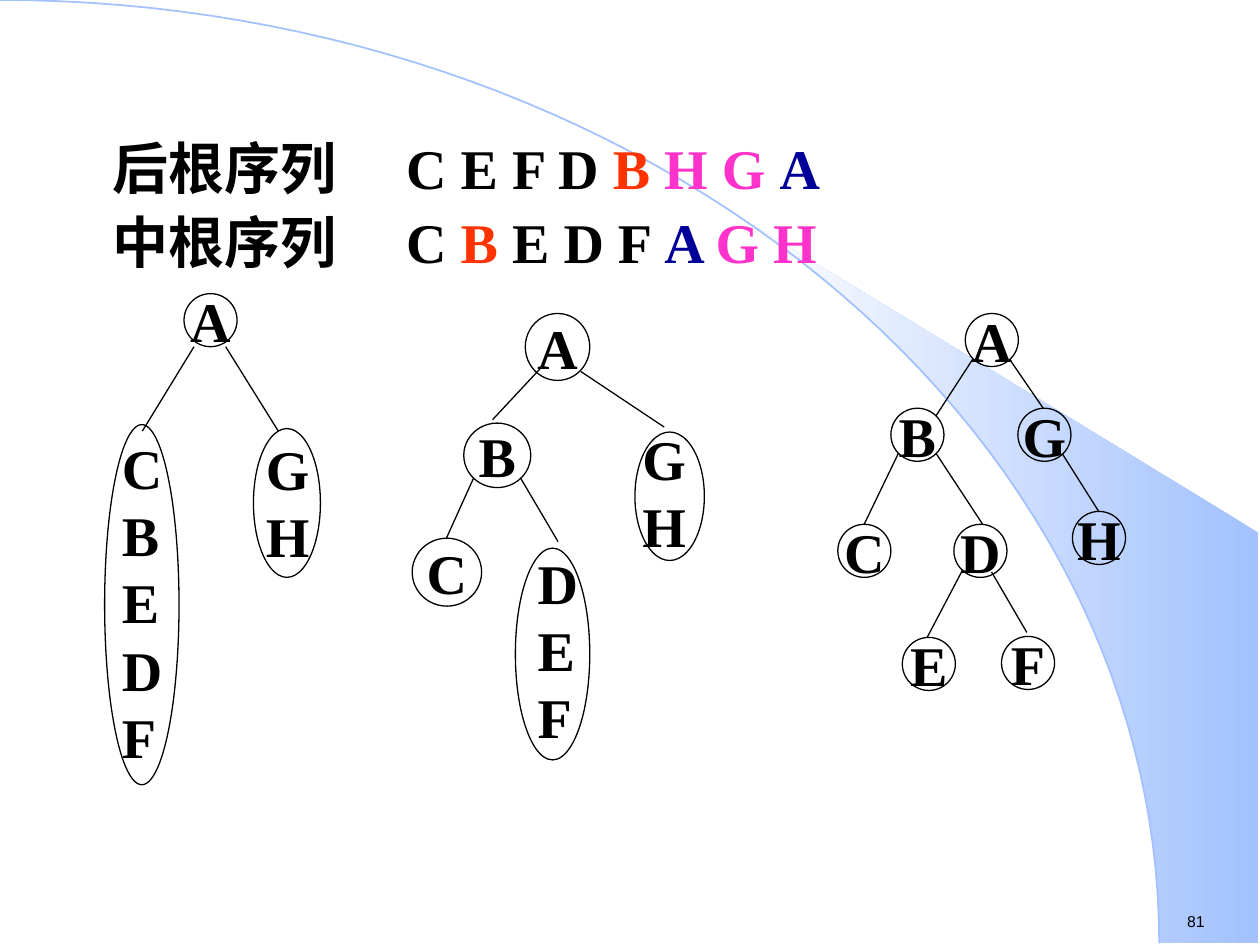
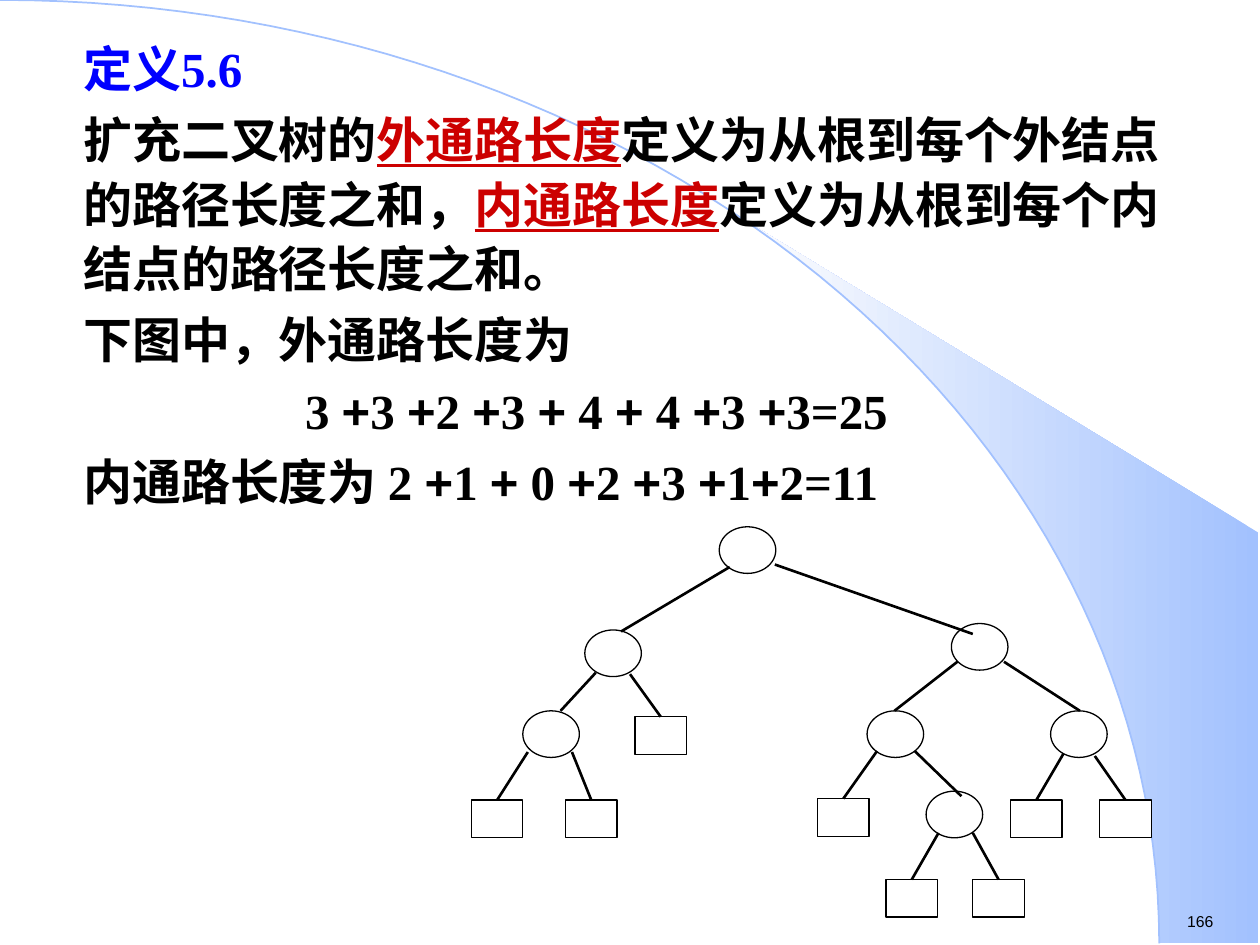
from math import asin, cos, pi, sin

from lxml.etree import SubElement
from pptx import Presentation
from pptx.dml.color import RGBColor
from pptx.enum.shapes import MSO_CONNECTOR, MSO_SHAPE
from pptx.enum.text import MSO_ANCHOR, PP_ALIGN
from pptx.oxml.ns import qn
from pptx.util import Cm, Pt

COLORS = {
    "ink": "000000", "paper": "FFFFFF", "band": "A2C1FE", "band_fade": "FEFEFE",
    "left_root": "FF3300", "right_part": "FF33CC", "root": "000099",
    "heading": "0000FF", "term": "CC0000",
}
SERIF, SANS = "Times New Roman", "Arial"
WIDTH, HEIGHT = 25.4, 19.05
ARC_X, ARC_Y, FAN_TIP = 23.37, 19.02, 14.96

# A paragraph is a list of (text, colour) runs.
SEQUENCES = [
    [("后根序列\tC E F D ", "ink"), ("B ", "left_root"), ("H G ", "right_part"), ("A", "root")],
    [("中根序列\tC ", "ink"), ("B", "left_root"), (" E D F ", "ink"), ("A ", "root"),
     ("G H", "right_part")],
]

# Nodes: letter, left, top, width, height
# Groups: letters, oval (left, top, width, height), letters' left and top
# Edges: from x, from y, to x, to y
D = 1.07
STAGES = [
    {
        "nodes": [("A", 3.71, 5.92, D, D)],
        "groups": [("CBEDF", (2.11, 8.56, 1.5, 7.26), (2.46, 8.74)),
                   ("GH", (5.11, 8.64, 1.35, 3.0), (5.36, 8.76))],
        "edges": [(3.91, 6.99, 2.87, 8.69), (4.55, 6.99, 5.61, 8.69)],
    },
    {
        "nodes": [("A", 10.59, 6.32, 1.3, 1.35), ("B", 9.35, 8.53, 1.35, 1.3),
                  ("C", 8.31, 10.85, 1.4, 1.37)],
        "groups": [("DEF", (10.39, 11.05, 1.5, 4.27), (10.84, 11.05)),
                   ("GH", (12.8, 8.71, 1.4, 2.59), (12.95, 8.56))],
        "edges": [(10.9, 7.42, 9.93, 8.46), (11.71, 7.49, 13.39, 8.61),
                  (9.55, 9.63, 8.99, 10.87), (10.49, 9.63, 11.25, 10.92)],
    },
    {
        "nodes": [("A", 19.46, 6.32, D, D), ("B", 17.96, 8.23, D, D),
                  ("C", 16.89, 10.57, D, D), ("G", 20.52, 8.23, D, D),
                  ("D", 19.23, 10.57, D, D), ("E", 18.19, 12.85, D, D),
                  ("F", 20.19, 12.83, D, D), ("H", 21.62, 10.31, D, D)],
        "groups": [],
        "edges": [(19.61, 7.24, 18.87, 8.38), (20.35, 7.24, 21.03, 8.23),
                  (18.11, 9.14, 17.42, 10.57), (18.87, 9.14, 19.81, 10.57),
                  (19.41, 11.48, 18.69, 12.85), (21.41, 9.14, 22.15, 10.31),
                  (19.99, 11.53, 20.7, 12.75)],
    },
]

DEFINITION = [
    [("定义5.6", "heading")],
    [("扩充二叉树的", "ink"), ("外通路长度", "term"),
     ("定义为从根到每个外结点的路径长度之和，", "ink"), ("内通路长度", "term"),
     ("定义为从根到每个内结点的路径长度之和。", "ink")],
    [("下图中，外通路长度为", "ink")],
    [("3 +3 +2 +3 + 4 + 4 +3 +3=25", "ink")],
    [("内通路长度为 2 +1 + 0 +2 +3 +1+2=11", "ink")],
]
EXTERNAL_SUM = 3  # the paragraph that is set further in

INNER_SIZE, OUTER_SIZE = (1.14, 0.94), (1.04, 0.76)
INNER_NODES = [(14.5, 10.62), (11.79, 12.7), (10.54, 14.33), (19.18, 12.57),
               (17.48, 14.33), (21.18, 14.33), (18.67, 15.95)]
INNER_EDGES = [(15.62, 11.38, 19.61, 12.78), (14.71, 11.43, 12.52, 12.73),
               (12.01, 13.56, 11.3, 14.33), (19.3, 13.34, 18.03, 14.33),
               (20.24, 13.34, 21.77, 14.33), (18.44, 15.14, 19.38, 16.05)]
# Left and top of each outer node, then where its edge leaves the parent
OUTER_NODES = [(9.5, 16.13, 10.64, 15.16), (11.4, 16.13, 11.53, 15.16),
               (12.8, 14.45, 12.7, 13.59), (16.48, 16.1, 17.68, 15.14),
               (17.86, 17.73, 18.92, 16.79), (19.61, 17.73, 19.61, 16.79),
               (20.37, 16.13, 21.44, 15.19), (22.17, 16.13, 22.07, 15.24)]


def rgb(name):
    return RGBColor.from_string(COLORS[name])


def cms(values):
    return [Cm(value) for value in values]


def write(frame, paragraphs, size=32, font=SERIF, bold=True, wrap=False, align=PP_ALIGN.LEFT,
          anchor=MSO_ANCHOR.TOP, line_spacing=None, before=0, tab=None):
    """Fill a text frame; plus signs in serif text are set in the sans font."""
    frame.word_wrap = wrap
    frame.vertical_anchor = anchor
    frame.margin_left = frame.margin_right = frame.margin_top = frame.margin_bottom = 0
    for index, runs in enumerate(paragraphs):
        paragraph = frame.paragraphs[0] if index == 0 else frame.add_paragraph()
        if tab:
            stops = SubElement(paragraph._p.get_or_add_pPr(), qn("a:tabLst"))
            SubElement(stops, qn("a:tab"), pos=str(Cm(tab)), algn="l")
        paragraph.alignment = align
        if line_spacing:
            paragraph.line_spacing = line_spacing
        if index and before:
            paragraph.space_before = Pt(before)
        for text, color in runs:
            for piece in text.replace("+", "|+|").split("|"):
                if not piece:
                    continue
                run = paragraph.add_run()
                run.text = piece
                run.font.name = SANS if piece == "+" else font
                run.font.size = Pt(size)
                run.font.bold = bold
                run.font.underline = color == "term"
                run.font.color.rgb = rgb(color)


def add_text(slide, box, paragraphs, **style):
    frame = slide.shapes.add_textbox(*cms(box)).text_frame
    write(frame, paragraphs, **style)
    return frame


def add_node(slide, preset, box, fill=None):
    node = slide.shapes.add_shape(preset, *cms(box))
    node.shadow.inherit = False
    if fill:
        node.fill.solid()
        node.fill.fore_color.rgb = rgb(fill)
    else:
        node.fill.background()
    node.line.color.rgb = rgb("ink")
    node.line.width = Pt(0.75)
    return node


def add_edge(slide, ends, width=0.75):
    edge = slide.shapes.add_connector(MSO_CONNECTOR.STRAIGHT, *cms(ends))
    edge.line.color.rgb = rgb("ink")
    edge.line.width = Pt(width)
    SubElement(edge._element.spPr, qn("a:effectLst"))
    return edge


def arc_points(start, steps=60):
    """Points of the quarter ellipse from the angle start down to the bottom edge."""
    angles = [start + (pi / 2 - start) * step / steps for step in range(steps + 1)]
    return [(Cm(ARC_X * sin(a)), Cm(ARC_Y * (1 - cos(a)))) for a in angles]


def add_outline(slide, points, close):
    builder = slide.shapes.build_freeform(*points[0])
    builder.add_line_segments(points[1:], close=close)
    outline = builder.convert_to_shape()
    outline.shadow.inherit = False
    return outline


def add_page(deck, number):
    """Add a slide with the shared fan, arc and page number."""
    slide = deck.slides.add_slide(deck.slide_layouts[6])
    corners = [(Cm(25.37), Cm(ARC_Y)), (Cm(25.37), Cm(10.74))]
    fan = add_outline(slide, corners + arc_points(asin(FAN_TIP / ARC_X)), True)
    fan.line.fill.background()
    fan.fill.gradient()
    fan.fill.gradient_angle = 180
    for stop, color in zip(fan.fill.gradient_stops, ("band", "band_fade")):
        stop.color.rgb = rgb(color)

    arc = add_outline(slide, arc_points(0), False)
    arc.fill.background()
    arc.line.color.rgb = rgb("band")
    arc.line.width = Pt(1)
    add_text(slide, (23.93, 18.39, 1.2, 0.4), [[(number, "ink")]],
             size=9, font=SANS, bold=False)
    return slide


def build_sequences(deck):
    slide = add_page(deck, "81")
    add_text(slide, (2.27, 2.84, 22, 3), SEQUENCES, wrap=True,
             line_spacing=0.9, before=8, tab=5.92)
    for stage in STAGES:
        for letter, *box in stage["nodes"]:
            node = add_node(slide, MSO_SHAPE.OVAL, box)
            write(node.text_frame, [[(letter, "ink")]],
                  align=PP_ALIGN.CENTER, anchor=MSO_ANCHOR.MIDDLE)
        for letters, oval, corner in stage["groups"]:
            add_node(slide, MSO_SHAPE.OVAL, oval)
            add_text(slide, (*corner, 0.85, 1.36 * len(letters)),
                     [[(letter, "ink")] for letter in letters])
        for ends in stage["edges"]:
            add_edge(slide, ends)


def build_path_lengths(deck):
    slide = add_page(deck, "166")
    frame = add_text(slide, (1.68, 0.66, 21.97, 10), DEFINITION, size=28, wrap=True,
                     line_spacing=1.1, before=3.5)
    frame.paragraphs[EXTERNAL_SUM]._p.get_or_add_pPr().set("marL", str(Cm(4.47)))

    for corner in INNER_NODES:
        add_node(slide, MSO_SHAPE.OVAL, (*corner, *INNER_SIZE), "paper")
    for ends in INNER_EDGES:
        add_edge(slide, ends, 1.5)
    for left, top, start_x, start_y in OUTER_NODES:
        leaf = add_node(slide, MSO_SHAPE.RECTANGLE, (left, top, *OUTER_SIZE), "paper")
        edge = add_edge(slide, (start_x, start_y, left + OUTER_SIZE[0] / 2, top), 1.5)
        edge.end_connect(leaf, 0)


def main():
    deck = Presentation()
    deck.slide_width, deck.slide_height = Cm(WIDTH), Cm(HEIGHT)
    build_sequences(deck)
    build_path_lengths(deck)
    deck.save("out.pptx")


if __name__ == "__main__":
    main()
